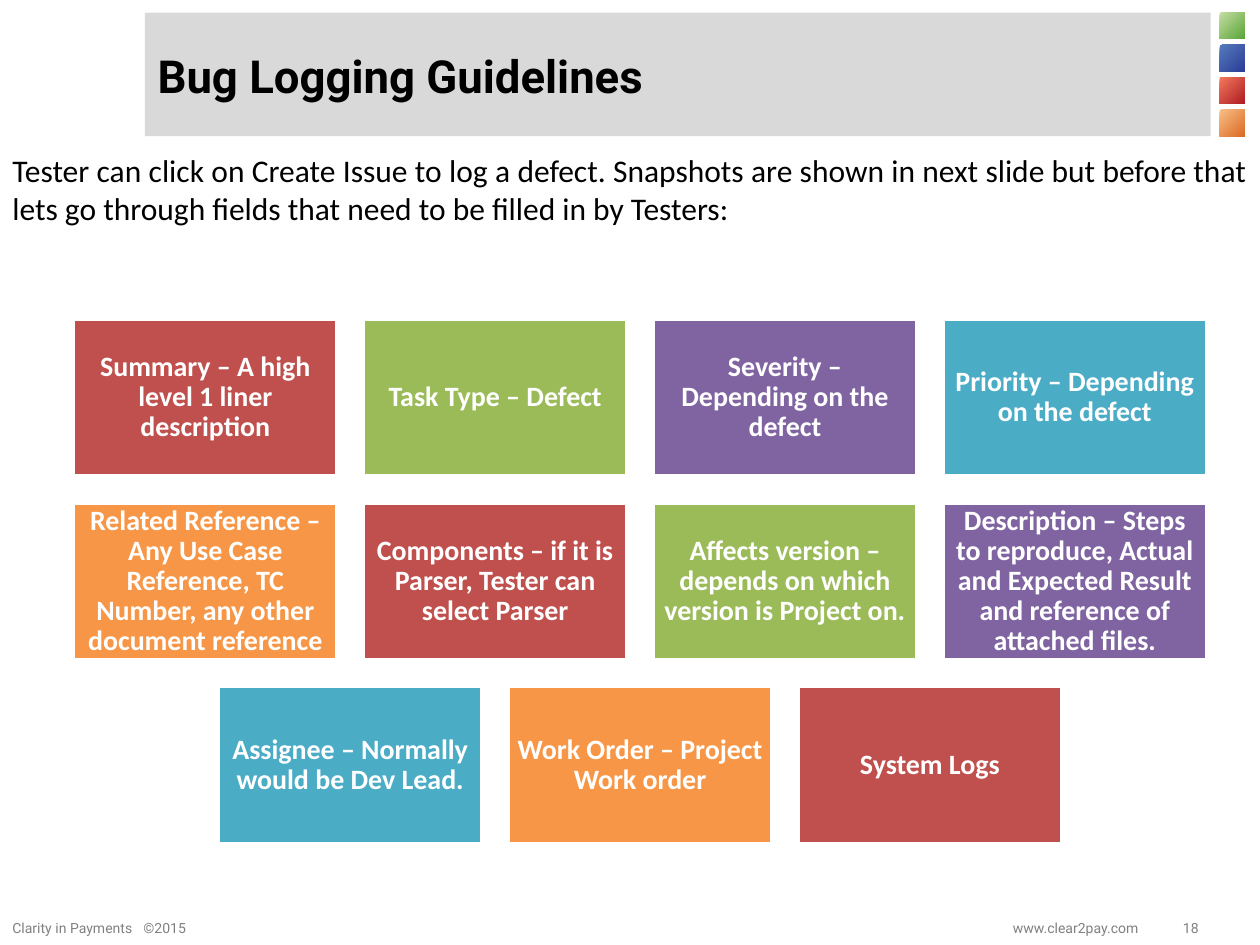
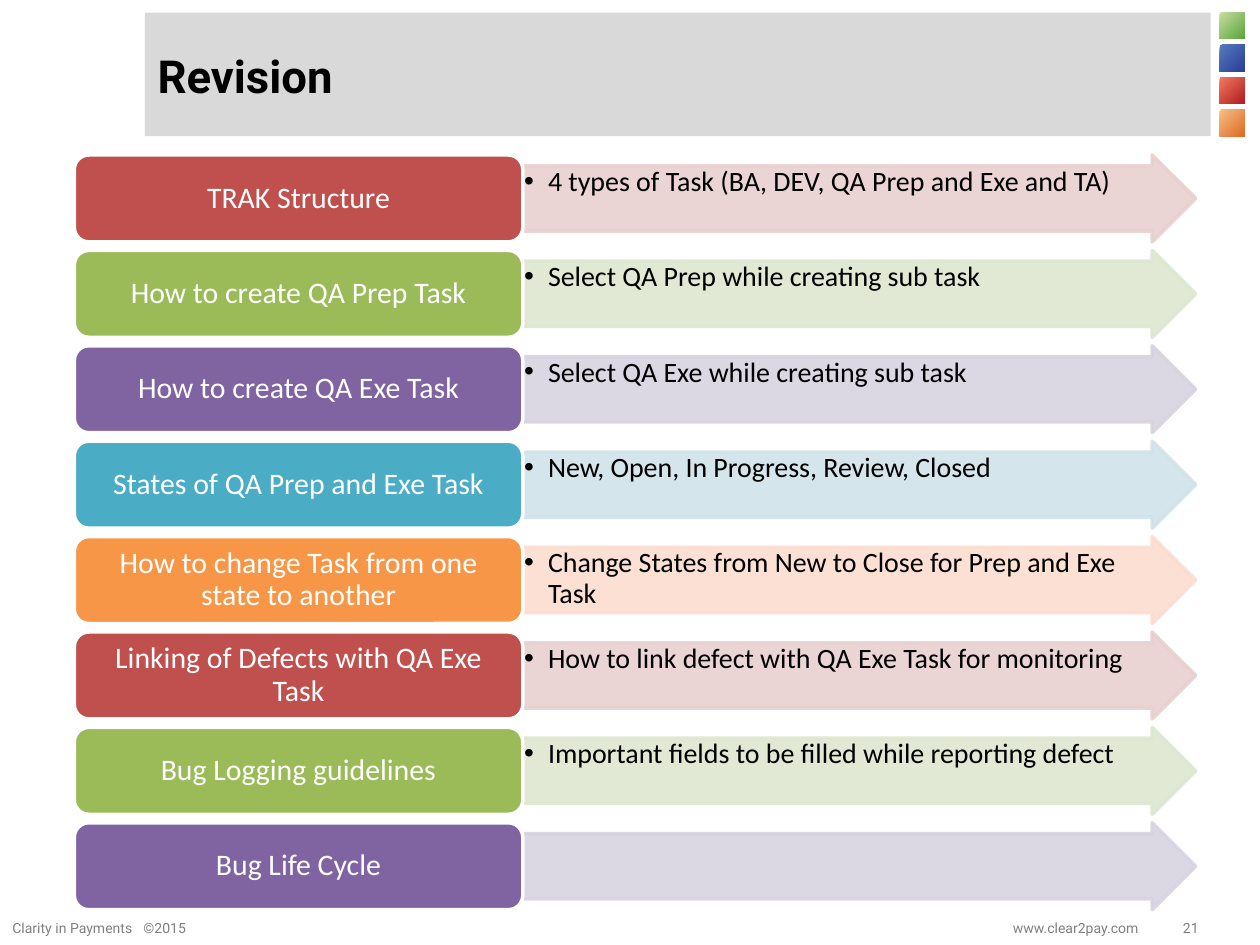
from lxml import etree
from pptx import Presentation
from pptx import util as u
from pptx.dml.color import RGBColor
from pptx.enum import shapes, text
from pptx.oxml.ns import qn

RED, GREEN, PURPLE, TEAL, ORANGE = "C0504D", "9BBB59", "8064A2", "4BACC6", "F79646"
ACCENTS = [RED, GREEN, PURPLE, TEAL, ORANGE]
TINTS = ["E8D0D0", "DEE7D1", "D8D3E0", "D0E3EA", "FCDDCF"]
CORNER_SQUARES = [("C5DEA3", "5AA537"), ("567ABC", "2B3E98"),
                  ("F3795E", "AF1D23"), ("F8BF87", "DC6B25")]
FOOTER_STOPS = [1.04, 7.94, 9.29]
CENTER, LEFT, JUSTIFY = (text.PP_ALIGN.CENTER, text.PP_ALIGN.LEFT, text.PP_ALIGN.JUSTIFY)
MIDDLE, TOP = text.MSO_ANCHOR.MIDDLE, text.MSO_ANCHOR.TOP

FIELD_ROWS = [
    ["Summary – A high level 1 liner description",
     "Task Type – Defect",
     "Severity – Depending on the defect",
     "Priority – Depending on the defect"],
    ["Related Reference – Any Use Case Reference, TC Number, any other document reference",
     "Components – if it is Parser, Tester can select Parser",
     "Affects version – depends on which version is Project on.",
     "Description – Steps to reproduce, Actual and Expected Result "
     "and reference of attached files."],
    ["Assignee – Normally would be Dev Lead.",
     "Work Order – Project Work order",
     "System Logs"],
]
FIELD_COLOURS = [
    [RED, GREEN, PURPLE, TEAL],
    [ORANGE, RED, GREEN, PURPLE],
    [TEAL, ORANGE, RED],
]
TOPICS = [
    ("TRAK Structure", "4 types of Task (BA, DEV, QA Prep and Exe and TA)"),
    ("How to create QA Prep Task", "Select QA Prep while creating sub task"),
    ("How to create QA Exe Task", "Select QA Exe while creating sub task"),
    ("States of QA Prep and Exe Task", "New, Open, In Progress, Review, Closed"),
    ("How to change Task from one state to another",
     "Change States from New to Close for Prep and Exe Task"),
    ("Linking of Defects with QA Exe Task",
     "How to link defect with QA Exe Task for monitoring"),
    ("Bug Logging guidelines", "Important fields to be filled while reporting defect"),
    ("Bug Life Cycle", ""),
]


def colour(value):
    return RGBColor.from_string(value)


def assign(target, values):
    for name, value in values.items():
        setattr(target, name, value)


def margins(horizontal, vertical):
    return {"margin_left": u.Inches(horizontal), "margin_right": u.Inches(horizontal),
            "margin_top": u.Inches(vertical), "margin_bottom": u.Inches(vertical)}


class Deck:
    def __init__(self):
        self.prs = Presentation()
        assign(self.prs, {"slide_width": u.Inches(10), "slide_height": u.Inches(7.5)})
        self.slide = None

    def new_slide(self, heading, number):
        self.slide = self.prs.slides.add_slide(self.prs.slide_layouts[5])
        self.shape(shapes.MSO_SHAPE.RECTANGLE, (1.15, 0.1, 8.46, 0.98), "D9D9D9")
        for row, (light, dark) in enumerate(CORNER_SQUARES):
            self.gradient_square((9.68, 0.1 + row * 0.77 / 3, 0.2, 0.21), light, dark)
        self.footer(number)
        self.title(heading)

    def title(self, heading):
        title = self.slide.shapes.title
        box = dict(zip(("left", "top", "width", "height"),
                       map(u.Inches, (1.15, 0.17, 6.77, 0.86))))
        assign(title, box)
        self.slide.shapes.element.append(title.element)
        self.set_text(title, heading, 26, "000000", font="Roboto", bold=True,
                      anchor=MIDDLE, align=LEFT)

    def footer(self, number):
        parts = ["Clarity in Payments", "©2015", "www.clear2pay.com", str(number)]
        paragraph = self.textbox((0, 7.25, 10, 0.24), "\t".join(parts), 8, "808080",
                                 font="Roboto")
        stops = etree.SubElement(paragraph._p.get_or_add_pPr(), qn("a:tabLst"))
        for stop in FOOTER_STOPS:
            etree.SubElement(stops, qn("a:tab"), pos=str(u.Inches(stop)), algn="l")

    def set_text(self, shape, words, size, ink, font="Calibri", bold=False, anchor=TOP,
                 align=LEFT, spacing=None, inset=(0.1, 0.05)):
        frame = shape.text_frame
        assign(frame, {"word_wrap": True, "auto_size": text.MSO_AUTO_SIZE.NONE,
                       "vertical_anchor": anchor, **margins(*inset)})
        paragraph = frame.paragraphs[0]
        assign(paragraph, {"alignment": align, "line_spacing": spacing})
        run = paragraph.add_run()
        run.text = words
        assign(run.font, {"name": font, "size": u.Pt(size), "bold": bold})
        run.font.color.rgb = colour(ink)
        return paragraph

    def textbox(self, box, words, size, ink, **style):
        holder = self.slide.shapes.add_textbox(*map(u.Inches, box))
        return self.set_text(holder, words, size, ink, **style)

    def shape(self, preset, box, fill, line=None):
        shape = self.slide.shapes.add_shape(preset, *map(u.Inches, box))
        shape.shadow.inherit = False
        shape.fill.solid()
        shape.fill.fore_color.rgb = colour(fill)
        if line:
            shape.line.color.rgb = colour(line)
            shape.line.width = u.Pt(2)
        else:
            shape.line.fill.background()
        return shape

    def gradient_square(self, box, light, dark):
        square = self.shape(shapes.MSO_SHAPE.RECTANGLE, box, light)
        square.fill.gradient()
        square.fill.gradient_angle = 315
        for stop, value in zip(square.fill.gradient_stops, (light, dark)):
            stop.color.rgb = colour(value)

    def field(self, box, words, fill):
        tile = self.shape(shapes.MSO_SHAPE.RECTANGLE, box, fill, "FFFFFF")
        self.set_text(tile, words, 16, "FFFFFF", bold=True, anchor=MIDDLE,
                      align=CENTER, spacing=0.9, inset=(0.07, 0.07))

    def topic(self, box, words, fill):
        label = self.shape(shapes.MSO_SHAPE.ROUNDED_RECTANGLE, box, fill, "FFFFFF")
        self.set_text(label, words, 17, "FFFFFF", anchor=MIDDLE, align=CENTER,
                      spacing=0.9, inset=(0.07, 0.04))

    def detail_arrow(self, box, words, tint):
        arrow = self.shape(shapes.MSO_SHAPE.RIGHT_ARROW, box, tint, tint)
        arrow.adjustments[0], arrow.adjustments[1] = 0.75, 0.5
        for shade in arrow.element.spPr.iter(qn("a:srgbClr")):
            etree.SubElement(shade, qn("a:alpha"), val="90000")
        if words:
            paragraph = self.set_text(arrow, words, 16, "000000", spacing=0.9,
                                      inset=(0.01, 0.01))
            props = paragraph._p.get_or_add_pPr()
            props.set("marL", str(u.Inches(0.19)))
            props.set("indent", str(u.Inches(-0.19)))
            etree.SubElement(props, qn("a:buFont"), typeface="Arial")
            etree.SubElement(props, qn("a:buChar"), char="•")


def bug_logging(deck):
    deck.new_slide("Bug Logging Guidelines", 18)
    deck.textbox((0, 1.15, 10, 0.71),
                 "Tester can click on Create Issue to log a defect. Snapshots are shown in next "
                 "slide but before that lets go through fields that need to be filled in by "
                 "Testers:", 18, "000000", align=JUSTIFY)
    width, height, gap, grid_center = 2.09, 1.25, 0.21, 5.08
    for row, (fields, fills) in enumerate(zip(FIELD_ROWS, FIELD_COLOURS)):
        left = grid_center - (len(fields) * (width + gap) - gap) / 2
        top = 2.53 + row * (height + gap)
        for column, (words, fill) in enumerate(zip(fields, fills)):
            deck.field((left + column * (width + gap), top, width, height), words, fill)


def revision(deck):
    deck.new_slide("Revision", 21)
    pitch = 5.3 / 7
    for row, (topic, detail) in enumerate(TOPICS):
        top = 1.23 + row * pitch
        accent = row % len(ACCENTS)
        deck.detail_arrow((4.15, top, 5.34, 0.69), detail, TINTS[accent])
        deck.topic((0.59, top, 3.56, 0.69), topic, ACCENTS[accent])


def main():
    deck = Deck()
    bug_logging(deck)
    revision(deck)
    deck.prs.save("out.pptx")


if __name__ == "__main__":
    main()
